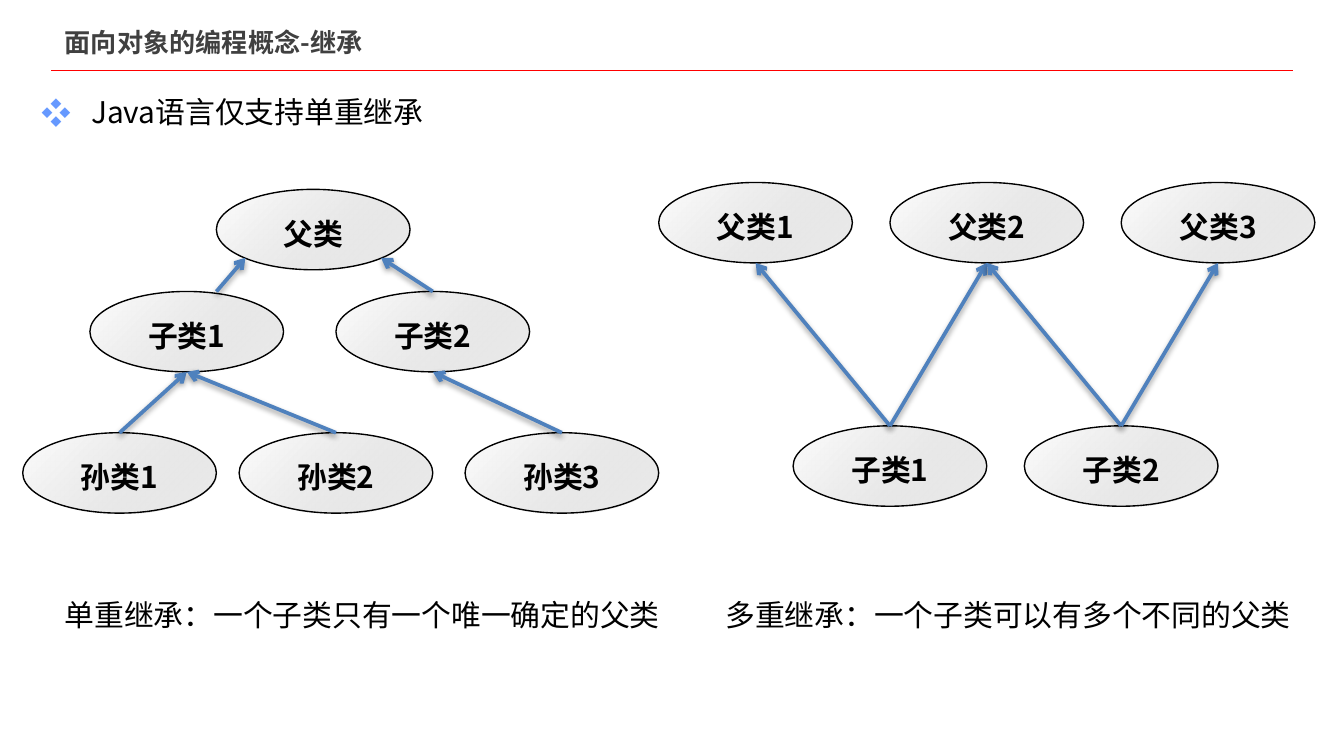
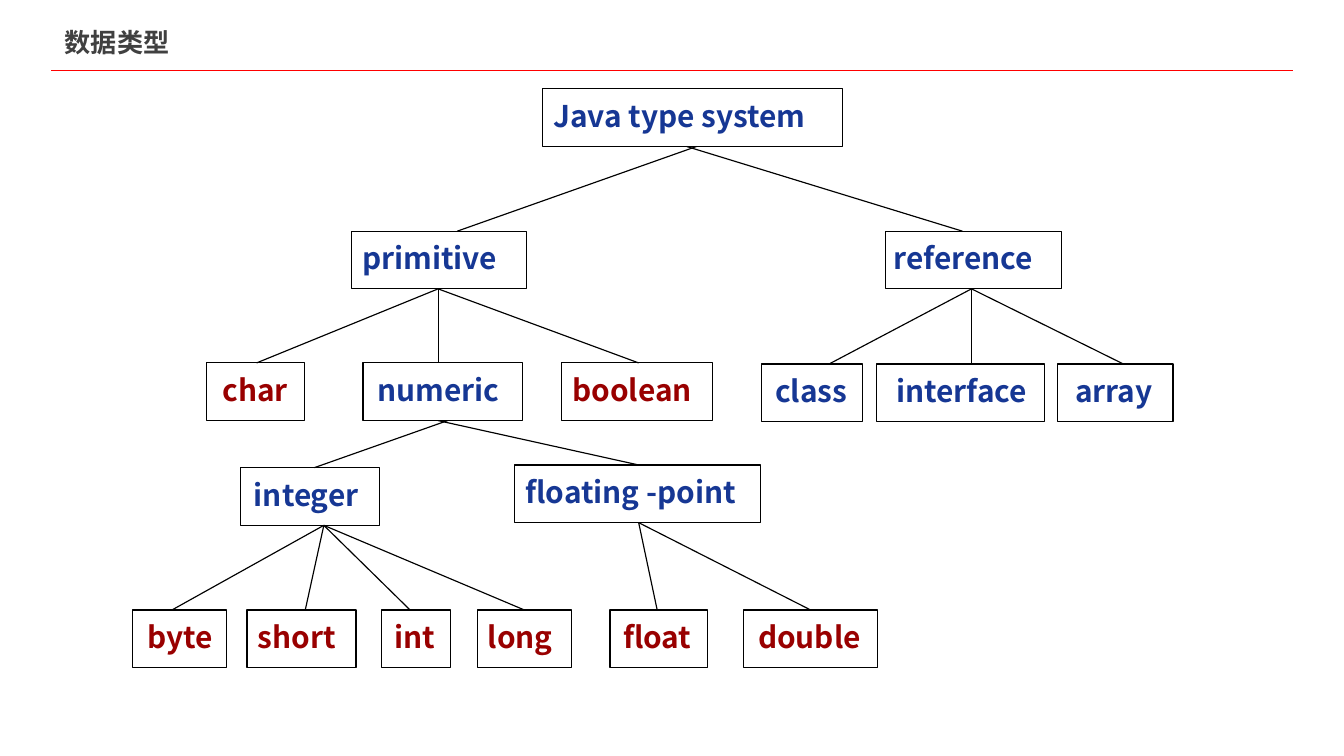
"""Build two slides on Java: single versus multiple inheritance, and the type system tree."""
from lxml import etree
from pptx import Presentation
from pptx.dml.color import RGBColor
from pptx.enum.shapes import MSO_CONNECTOR, MSO_SHAPE
from pptx.enum.text import MSO_ANCHOR, MSO_AUTO_SIZE, PP_ALIGN
from pptx.oxml.ns import qn
from pptx.util import Cm, Pt

STRAIGHT = MSO_CONNECTOR.STRAIGHT
OVAL, RECTANGLE = MSO_SHAPE.OVAL, MSO_SHAPE.RECTANGLE
MIDDLE = MSO_ANCHOR.MIDDLE
LEFT, CENTER = PP_ALIGN.LEFT, PP_ALIGN.CENTER
NO_AUTOFIT = MSO_AUTO_SIZE.NONE

FONT = "Noto Sans CJK SC"
BLACK, WHITE, GREY, RED = "000000", "FFFFFF", "404040", "FF0000"
SILVER, ARROW_BLUE, BULLET_BLUE = "C0C0C0", "4F81BD", "6699FF"
NAVY, MAROON = "163794", "990000"


def write(frame, text, size, color, bold=False, align=LEFT, bullet=None):
    frame.text = text
    paragraph = frame.paragraphs[0]
    paragraph.alignment = align
    paragraph.space_before = Pt(0)
    properties = paragraph._p.pPr
    if bullet:
        properties.set("marL", str(Cm(0.94)))
        properties.set("indent", str(-Cm(0.94)))
        bullet_color = etree.SubElement(properties, qn("a:buClr"))
        etree.SubElement(bullet_color, qn("a:srgbClr"), val=BULLET_BLUE)
        etree.SubElement(properties, qn("a:buFont"), typeface=FONT)
        etree.SubElement(properties, qn("a:buChar"), char=bullet)
    font = paragraph.font
    font.size, font.bold, font.name = Pt(size), bold, FONT
    font.color.rgb = RGBColor.from_string(color)
    etree.SubElement(properties.find(qn("a:defRPr")), qn("a:ea"), typeface=FONT)
    return paragraph


def draw_line(slide, x1, y1, x2, y2, color, width, arrow=False):
    line = slide.shapes.add_connector(STRAIGHT, Cm(x1), Cm(y1), Cm(x2), Cm(y2))
    line.line.color.rgb = RGBColor.from_string(color)
    line.line.width = Pt(width)
    properties = line._element.spPr
    effects = etree.SubElement(properties, qn("a:effectLst"))
    if arrow:
        etree.SubElement(properties.find(qn("a:ln")), qn("a:tailEnd"), type="arrow")
        shadow = etree.SubElement(effects, qn("a:outerShdw"), blurRad="40000", dist="20000",
                                  dir="5400000", rotWithShape="0")
        shade = etree.SubElement(shadow, qn("a:srgbClr"), val=BLACK)
        etree.SubElement(shade, qn("a:alpha"), val="38000")


prs = Presentation()
prs.slide_width, prs.slide_height = Cm(25.4), Cm(14.29)
inheritance = prs.slides.add_slide(prs.slide_layouts[1])
type_system = prs.slides.add_slide(prs.slide_layouts[5])

for slide, heading in [(inheritance, "面向对象的编程概念-继承"), (type_system, "数据类型")]:
    draw_line(slide, 0.97, 1.33, 24.43, 1.33, RED, 0.25)
    title = slide.shapes.title
    title.left, title.top, title.width, title.height = Cm(0.97), Cm(0.41), Cm(11.13), Cm(0.76)
    title.text_frame.auto_size = NO_AUTOFIT
    title.text_frame.vertical_anchor = MIDDLE
    write(title.text_frame, heading, 14, GREY, bold=True)

statement = inheritance.placeholders[1]
statement.left, statement.top, statement.width, statement.height = Cm(0.53), Cm(1.65), Cm(8.79), Cm(0.94)
statement.text_frame.auto_size = NO_AUTOFIT
write(statement.text_frame, "Java语言仅支持单重继承", 16, BLACK, bullet="❖")

for left, caption in [(0.97, "单重继承：一个子类只有一个唯一确定的父类"),
                      (13.46, "多重继承：一个子类可以有多个不同的父类")]:
    caption_box = inheritance.shapes.add_textbox(Cm(left), Cm(11.15), Cm(11.9), Cm(0.94))
    caption_box.text_frame.word_wrap = True
    write(caption_box.text_frame, caption, 16, BLACK)

CLASS_W, CLASS_H = 3.66, 1.52
single = [("父类", 4.09, 3.58), ("子类1", 1.7, 5.51), ("子类2", 6.35, 5.51),
          ("孙类1", 0.43, 8.18), ("孙类2", 4.52, 8.18), ("孙类3", 8.79, 8.18)]
multiple = [(f"父类{n + 1}", 12.45 + 4.37 * n, 3.45) for n in range(3)]
multiple += [(f"子类{n + 1}", 14.99 + 4.37 * n, 8.05) for n in range(2)]
single_links = [(1, 0, 0.56, -1), (2, 0, 0, 1), (3, 1, 0, 0), (4, 1, 0, 0), (5, 2, 0, 0)]
multiple_links = [(3, 0, 0, 0), (3, 1, 0, 0), (4, 1, 0, 0), (4, 2, 0, 0)]

for classes, links in [(single, single_links), (multiple, multiple_links)]:
    for label, left, top in classes:
        oval = inheritance.shapes.add_shape(OVAL, Cm(left), Cm(top), Cm(CLASS_W), Cm(CLASS_H))
        oval.shadow.inherit = False
        oval.fill.gradient()
        oval.fill.gradient_angle = 315
        for stop, color, position in zip(oval.fill.gradient_stops, (WHITE, SILVER), (0, 1)):
            stop.color.rgb = RGBColor.from_string(color)
            stop.position = position
        silver_stop = oval._element.xpath(".//a:gs[2]/a:srgbClr")[0]
        etree.SubElement(silver_stop, qn("a:alpha"), val="30000")
        oval.line.color.rgb = RGBColor.from_string(BLACK)
        oval.line.width = Pt(0.75)
        oval.text_frame.word_wrap = False
        oval.text_frame.vertical_anchor = MIDDLE
        write(oval.text_frame, label, 16, BLACK, bold=True, align=CENTER).line_spacing = 1.2
    for child, parent, start_shift, parent_side in links:
        _, child_left, child_top = classes[child]
        _, parent_left, parent_top = classes[parent]
        draw_line(inheritance, child_left + CLASS_W / 2 + start_shift, child_top,
                  parent_left + CLASS_W * (0.5 + 0.35 * parent_side),
                  parent_top + CLASS_H * (1 - 0.15 * abs(parent_side)), ARROW_BLUE, 2, arrow=True)

TYPE_H = 1.09
types = [
    ("Java type system", 10.26, 1.68, 5.66, 0.2, NAVY, None, 0, 0),
    ("primitive", 6.65, 4.37, 3.3, 0.2, NAVY, "Java type system", 13.16, 8.64),
    ("reference", 16.74, 4.37, 3.33, 0.15, NAVY, "Java type system", 12.98, 18.19),
    ("char", 3.91, 6.86, 1.85, 0.3, MAROON, "primitive", 8.28, 4.85),
    ("numeric", 6.86, 6.86, 3.02, 0.28, NAVY, "primitive", 8.28, 8.28),
    ("boolean", 10.62, 6.86, 2.84, 0.2, MAROON, "primitive", 8.28, 12.07),
    ("class", 14.4, 6.88, 1.91, 0.25, NAVY, "reference", 18.36, 15.67),
    ("interface", 16.56, 6.88, 3.18, 0.38, NAVY, "reference", 18.36, 18.36),
    ("array", 19.99, 6.88, 2.18, 0.33, NAVY, "reference", 18.36, 21.23),
    ("integer", 4.55, 8.84, 2.62, 0.25, NAVY, "numeric", 8.46, 5.94),
    ("floating -point", 9.73, 8.79, 4.65, 0.2, NAVY, "numeric", 8.28, 12.07),
    ("byte", 2.51, 11.53, 1.78, 0.28, MAROON, "integer", 6.12, 3.25),
    ("short", 4.67, 11.53, 2.06, 0.2, MAROON, "integer", 6.12, 5.77),
    ("int", 7.21, 11.53, 1.3, 0.25, MAROON, "integer", 6.12, 7.75),
    ("long", 9.02, 11.53, 1.78, 0.2, MAROON, "integer", 6.12, 9.91),
    ("float", 11.53, 11.53, 1.85, 0.25, MAROON, "floating -point", 12.07, 12.42),
    ("double", 14.05, 11.53, 2.54, 0.28, MAROON, "floating -point", 12.07, 15.32),
]
bottoms = {}
for name, left, top, width, inset, color, parent, start_x, end_x in types:
    type_box = type_system.shapes.add_shape(RECTANGLE, Cm(left), Cm(top), Cm(width), Cm(TYPE_H))
    type_box.shadow.inherit = False
    type_box.fill.background()
    type_box.line.color.rgb = RGBColor.from_string(BLACK)
    type_box.line.width = Pt(0.62)
    frame = type_box.text_frame
    frame.word_wrap = True
    frame.vertical_anchor = MIDDLE
    frame.margin_left, frame.margin_bottom = Cm(inset), Cm(0.08)
    frame.margin_right = frame.margin_top = 0
    write(frame, name, 16, color, bold=True)
    bottoms[name] = top + TYPE_H
    if parent:
        draw_line(type_system, start_x, bottoms[parent], end_x, top, BLACK, 0.62)

prs.save("out.pptx")
